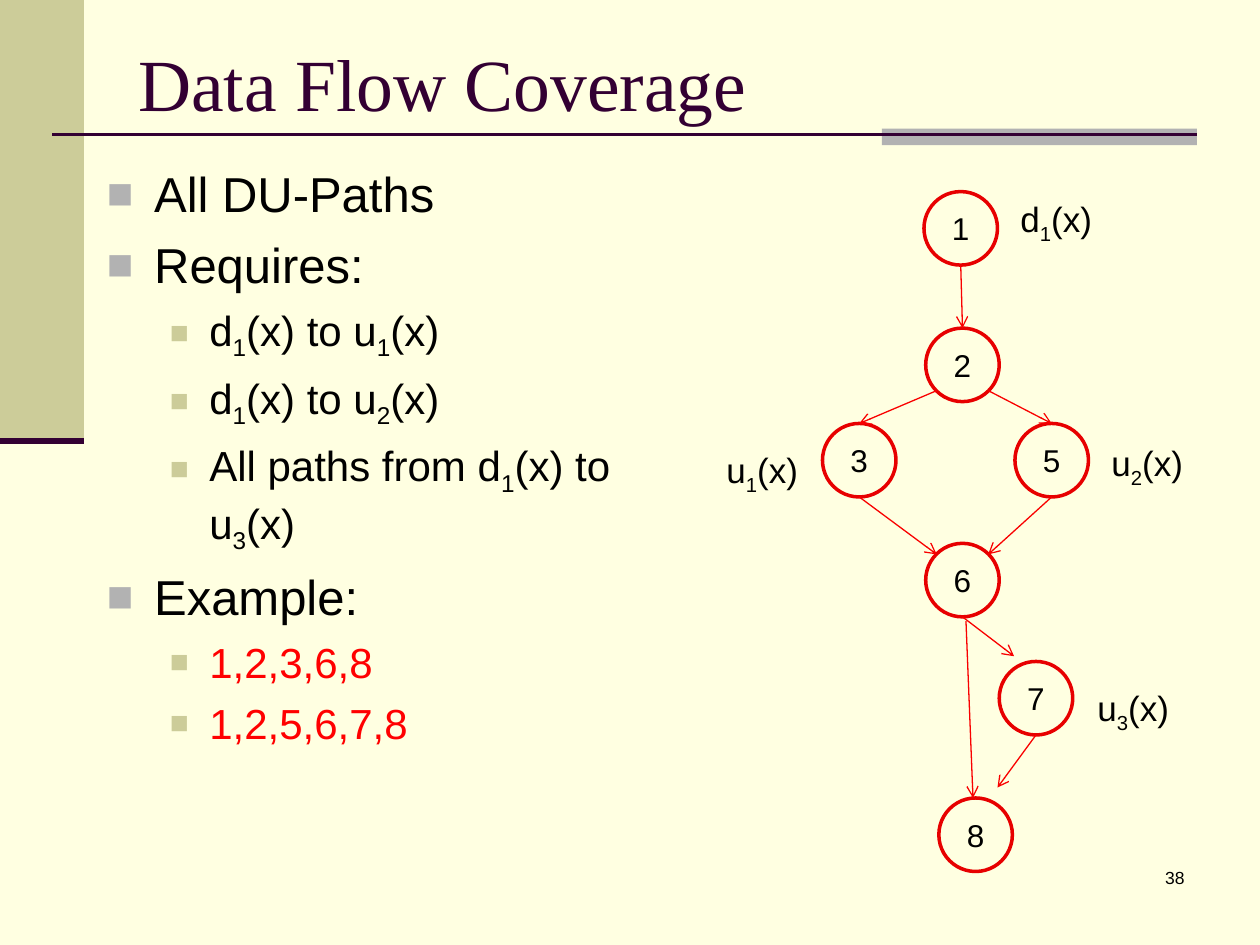
from lxml import etree
from pptx import Presentation
from pptx.dml.color import RGBColor
from pptx.enum.shapes import MSO_CONNECTOR, MSO_SHAPE
from pptx.enum.text import MSO_ANCHOR, PP_ALIGN
from pptx.oxml.ns import qn
from pptx.util import Pt

LINE = MSO_CONNECTOR.STRAIGHT
RECT, OVAL = MSO_SHAPE.RECTANGLE, MSO_SHAPE.OVAL
TOP, MIDDLE = MSO_ANCHOR.TOP, MSO_ANCHOR.MIDDLE
LEFT, CENTER, RIGHT = PP_ALIGN.LEFT, PP_ALIGN.CENTER, PP_ALIGN.RIGHT

CREAM = RGBColor(0xFF, 0xFF, 0xE1)
OLIVE = RGBColor(0xCC, 0xCC, 0x99)
GREY = RGBColor(0xB2, 0xB2, 0xB2)
PLUM = RGBColor(0x33, 0x00, 0x33)
BLACK = RGBColor(0, 0, 0)
RED = RGBColor(0xFF, 0, 0)
RING = RGBColor(0xE7, 0, 0)
ARROW = RGBColor(0xF9, 0, 0)

LEVELS = [
    dict(size=28, left=27, hang=27, color=GREY, scale=90, gap=7),
    dict(size=24, left=58.5, hang=22.5, color=OLIVE, scale=75, gap=6),
]
POINTS = [
    (0, "All DU-Paths", BLACK),
    (0, "Requires:", BLACK),
    (1, "d_1(x) to u_1(x)", BLACK),
    (1, "d_1(x) to u_2(x)", BLACK),
    (1, "All paths from d_1(x) to u_3(x)", BLACK),
    (0, "Example:", BLACK),
    (1, "1,2,3,6,8", RED),
    (1, "1,2,5,6,7,8", RED),
]

SIZE = 42
NODES = {
    1: (120, 0), 2: (121, 78), 3: (62, 132.5), 5: (172, 132.5),
    6: (121, 201), 7: (163, 268.5), 8: (128.5, 346.5),
}
SITES = {
    "top": (0.5, 0), "bottom": (0.5, 1), "nw": (0.15, 0.15),
    "ne": (0.85, 0.15), "sw": (0.15, 0.85), "se": (0.85, 0.85),
}
EDGES = [
    (1, "bottom", 2, "top"), (2, "sw", 3, "top"), (2, "se", 5, "top"),
    (3, "bottom", 6, "nw"), (5, "bottom", 6, "ne"),
]
LOOSE = [
    ((142, 243), (171.5, 265.5)),
    ((184, 310.5), (162, 340.5)),
    ((144, 245.5), (148, 346.5)),
]
LABELS = [
    ("d_1(x)", 168, 0), ("u_1(x)", 0, 143.5),
    ("u_2(x)", 220, 139.5), ("u_3(x)", 212, 279.5),
]


def write(para, text, size=20, font="Arial", color=BLACK, align=LEFT):
    """Fill a paragraph, lowering each digit that follows an underscore."""
    para.alignment = align
    head, *tails = text.split("_")
    parts = [(head, False)]
    for tail in tails:
        parts += [(tail[0], True), (tail[1:], False)]
    for part, low in parts:
        run = para.add_run()
        run.text = part
        run.font.size = Pt(size)
        run.font.name = font
        run.font.color.rgb = color
        if low:
            run.font._element.set("baseline", "-25000")


def add_text(slide, box, text="", anchor=TOP, **style):
    """Add a wrapped text box and return its frame."""
    frame = slide.shapes.add_textbox(*map(Pt, box)).text_frame
    frame.word_wrap = True
    frame.vertical_anchor = anchor
    if text:
        write(frame.paragraphs[0], text, **style)
    return frame


def add_shape(slide, kind, box, fill, edge=None):
    """Add a flat preset shape."""
    shape = slide.shapes.add_shape(kind, *map(Pt, box))
    shape.shadow.inherit = False
    shape.fill.solid()
    shape.fill.fore_color.rgb = fill
    if edge:
        shape.line.color.rgb = edge
        shape.line.width = Pt(2)
    else:
        shape.line.fill.background()
    return shape


def add_line(slide, start, end, color, width, arrow=False):
    """Add a straight line, with an open arrowhead if asked."""
    line = slide.shapes.add_connector(LINE, *map(Pt, (*start, *end)))
    line.line.color.rgb = color
    line.line.width = Pt(width)
    props = line._element.spPr
    if arrow:
        etree.SubElement(props.find(qn("a:ln")), qn("a:tailEnd"), type="arrow")
    etree.SubElement(props, qn("a:effectLst"))


def add_bullet(para, left, hang, color, scale):
    """Give a paragraph a square bullet and a hanging indent."""
    props = para._p.get_or_add_pPr()
    props.set("marL", str(Pt(left)))
    props.set("indent", str(-Pt(hang)))
    tint = etree.SubElement(props, qn("a:buClr"))
    etree.SubElement(tint, qn("a:srgbClr"), val=str(color))
    etree.SubElement(props, qn("a:buSzPct"), val=str(scale * 1000))
    etree.SubElement(props, qn("a:buFont"), typeface="Arial")
    etree.SubElement(props, qn("a:buChar"), char="■")


def add_frame(slide, box):
    """Draw the side band and the rule below the title."""
    x, y, w, h = box
    add_shape(slide, RECT, (x, y, 48, 252), OLIVE)
    add_shape(slide, RECT, (x + w - 180, y + 73.5, 180, 9.5), GREY)
    add_line(slide, (x + 30, y + 77), (x + w, y + 77), PLUM, 1.5)
    add_line(slide, (x, y + 252), (x + 48, y + 252), PLUM, 3.5)


def add_list(slide, box):
    """Write the bulleted points."""
    frame = add_text(slide, box)
    for i, (level, text, color) in enumerate(POINTS):
        para = frame.add_paragraph() if i else frame.paragraphs[0]
        look = LEVELS[level]
        para.level = level
        para.space_before = Pt(look["gap"] if i else 0)
        add_bullet(para, look["left"], look["hang"], look["color"], look["scale"])
        write(para, text, size=look["size"], color=color)


def add_graph(slide, box):
    """Draw the flow graph with its nodes, arrows and labels."""
    x, y = box[:2]

    def site(node, name):
        """Find a point on the rim of a node."""
        return tuple(a + SIZE * b for a, b in zip(NODES[node], SITES[name]))

    for node, (dx, dy) in NODES.items():
        ring = add_shape(slide, OVAL, (x + dx, y + dy, SIZE, SIZE), CREAM, RING)
        ring.text_frame.vertical_anchor = MIDDLE
        write(ring.text_frame.paragraphs[0], str(node), size=18, align=CENTER)
    ends = [(site(a, p), site(b, q)) for a, p, b, q in EDGES]
    for (ax, ay), (bx, by) in ends + LOOSE:
        add_line(slide, (x + ax, y + ay), (x + bx, y + by), ARROW, 0.75, True)
    for text, dx, dy in LABELS:
        add_text(slide, (x + dx, y + dy, 62, 31.5), text)


def main():
    """Build and save the slide."""
    deck = Presentation()
    deck.slide_width, deck.slide_height = Pt(720), Pt(540)
    slide = deck.slides.add_slide(deck.slide_layouts[6])
    slide.background.fill.solid()
    slide.background.fill.fore_color.rgb = CREAM
    add_frame(slide, (0, 0, 684, 540))
    add_text(slide, (72, 21.5, 612, 50.5), "Data Flow Coverage", anchor=MIDDLE,
             size=42, font="Times New Roman", color=PLUM)
    add_list(slide, (54, 90, 309, 392.5))
    add_graph(slide, (408, 109.5, 282, 388.5))
    add_text(slide, (534, 492, 150, 36), "38", size=10, align=RIGHT)
    deck.save("out.pptx")


if __name__ == "__main__":
    main()
